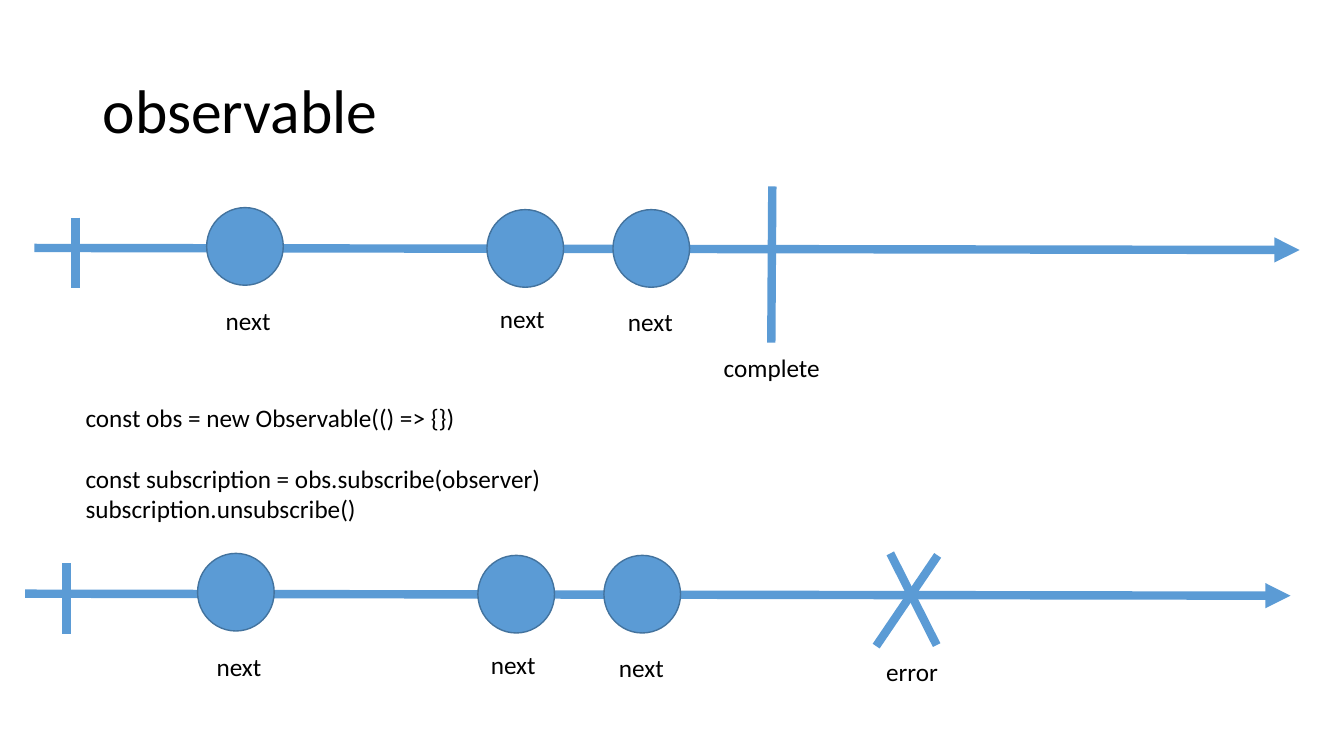
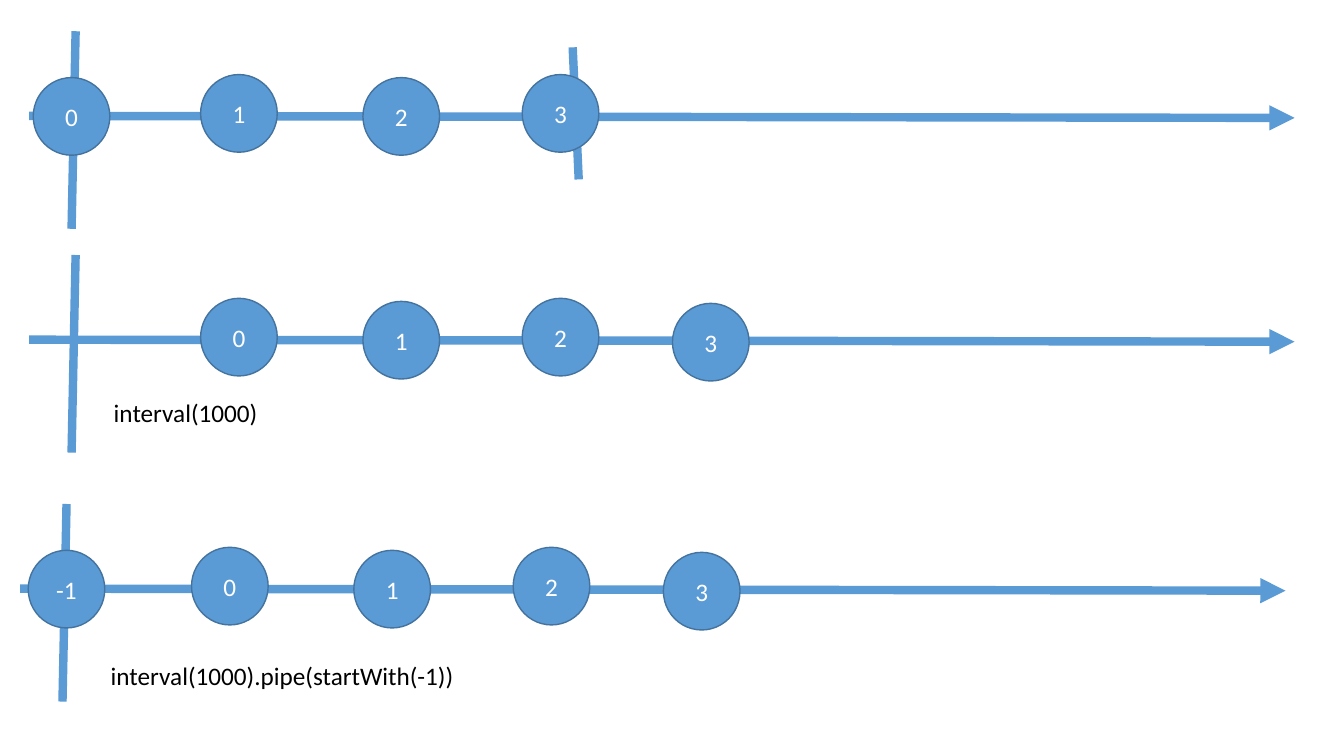
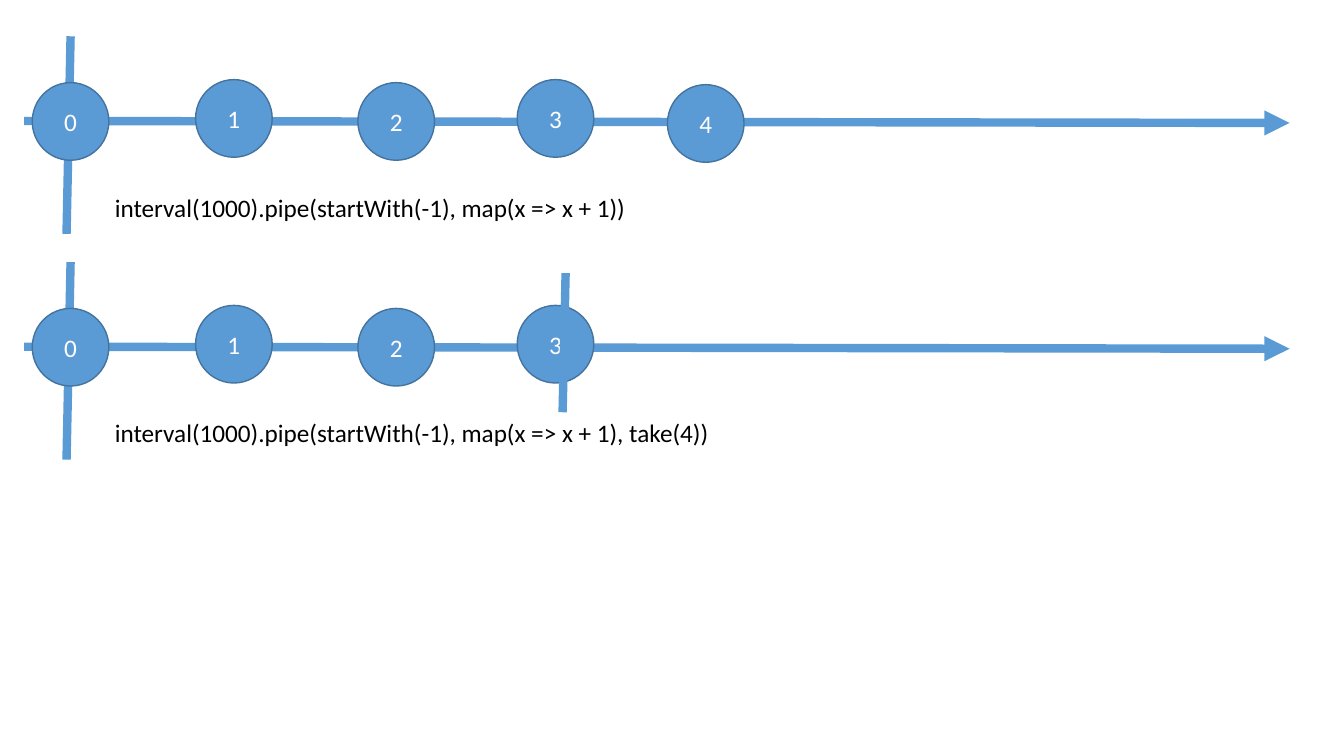
from dataclasses import dataclass

from lxml.etree import SubElement
from pptx import Presentation
from pptx.dml.color import RGBColor
from pptx.enum.shapes import MSO_CONNECTOR, MSO_SHAPE
from pptx.enum.text import MSO_ANCHOR, PP_ALIGN
from pptx.oxml.ns import qn
from pptx.util import Inches, Pt


@dataclass(frozen=True)
class Theme:
    blue: RGBColor = RGBColor(0x5B, 0x9B, 0xD5)
    edge: RGBColor = RGBColor(0x43, 0x73, 0x9E)
    ink: RGBColor = RGBColor(0, 0, 0)
    white: RGBColor = RGBColor(255, 255, 255)
    font: str = "Calibri"
    title: int = 44
    body: int = 18
    stroke: int = 6
    rim: int = 1


THEME = Theme()
WIDE, HIGH = 13.33, 7.5

# Timeline geometry, in inches from the left end of its axis
AXIS = (0, 0, 12.55, 0.02)
BALL = (0.76, 0.77)
ROW = 0.4
TICK = (0.41, -0.3, 0.41, 0.4)
START = (0.46, -0.84, 0.42, 1.12)
NEXTS = [(1.71, -0.4), (4.49, -0.38), (5.74, -0.38)]
NAMES = [(1.8, 0.52), (4.52, 0.5), (5.79, 0.53)]
LEAD = -0.38
SLOTS = [(1.7, -0.41), (3.31, -0.38), (4.89, -0.41), (6.38, -0.36)]

# Slide 1: title, code and the two ways a stream can end
TITLE = "observable"
CODE = [
    "const obs = new Observable(() => {})",
    "const subscription = obs.subscribe(observer)",
    "subscription.unsubscribe()",
]
GAPS = {1: 22}  # points above a line of code
ENDINGS = [
    dict(at=(0.34, 2.46), bars=[(7.32, -0.61, 7.31, 0.94)],
         label=(6.74, 0.99, 1.17, "complete")),
    dict(at=(0.25, 5.89),
         bars=[(8.58, -0.4, 9.04, 0.51), (9.05, -0.38, 8.44, 0.52)],
         label=(8.44, 0.57, 0.72, "error")),
]

# Slides 2 and 3: "lead" is the left of a ball on the start bar
STREAMS = [
    [
        dict(at=(0.29, 1.15), lead=(0.04, "0"), balls="123",
             back=[(5.39, -0.68, 5.45, 0.63)]),
        dict(at=(0.29, 3.37), balls="0123",
             label=(0.74, 0.52, 1.64, "interval(1000)")),
        dict(at=(0.2, 5.84), lead=(0.08, "-1"), balls="0123",
             label=(0.8, 0.66, 3.64, "interval(1000).pipe(startWith(-1))")),
    ],
    [
        dict(at=(0.24, 1.2), lead=(0.08, "0"), balls="1234",
             label=(0.8, 0.66, 5.33,
                    "interval(1000).pipe(startWith(-1), map(x => x + 1))")),
        dict(at=(0.24, 3.44), lead=(0.08, "0"), balls="123",
             label=(0.8, 0.65, 6.16,
                    "interval(1000).pipe(startWith(-1), map(x => x + 1), take(4))"),
             front=[(5.37, -0.73, 5.34, 0.65)]),
    ],
]


def style(para, size, color):
    para.font.name = THEME.font
    para.font.size = Pt(size)
    para.font.color.rgb = color


def write(slide, box, lines, size=THEME.body):
    frame = slide.shapes.add_textbox(*map(Inches, box)).text_frame
    frame.word_wrap = False
    frame.text = "\n".join(lines)
    for para in frame.paragraphs:
        style(para, size, THEME.ink)
    return frame


def draw(slide, at, ends, arrow=False):
    x, y = at
    x1, y1, x2, y2 = ends
    line = slide.shapes.add_connector(
        MSO_CONNECTOR.STRAIGHT,
        *map(Inches, (x + x1, y + y1, x + x2, y + y2)))
    line.line.width = Pt(THEME.stroke)
    line.line.color.rgb = THEME.blue
    props = line._element.spPr
    if arrow:
        SubElement(props.find(qn("a:ln")), qn("a:tailEnd"), type="triangle")
    SubElement(props, qn("a:effectLst"))


def dot(slide, at, spot, text):
    left, top = at[0] + spot[0], at[1] + spot[1]
    ball = slide.shapes.add_shape(
        MSO_SHAPE.OVAL, *map(Inches, (left, top, *BALL)))
    ball.shadow.inherit = False
    ball.fill.solid()
    ball.fill.fore_color.rgb = THEME.blue
    ball.line.color.rgb = THEME.edge
    ball.line.width = Pt(THEME.rim)
    if text:
        frame = ball.text_frame
        frame.text = text
        frame.vertical_anchor = MSO_ANCHOR.MIDDLE
        para = frame.paragraphs[0]
        para.alignment = PP_ALIGN.CENTER
        style(para, THEME.body, THEME.white)


def chart(slide, at, back, balls, labels, front=()):
    """One timeline: axis, bars behind, balls, labels, bars in front."""
    draw(slide, at, AXIS, arrow=True)
    for bar in back:
        draw(slide, at, bar)
    for spot, text in balls:
        dot(slide, at, spot, text)
    for x, y, width, text in labels:
        write(slide, (at[0] + x, at[1] + y, width, ROW), [text])
    for bar in front:
        draw(slide, at, bar)


def intro(slide):
    frame = write(slide, (0.92, 0.4, 11.5, 1.45), [TITLE], THEME.title)
    frame.word_wrap = True
    frame.vertical_anchor = MSO_ANCHOR.MIDDLE
    frame.paragraphs[0].line_spacing = 0.9
    code = write(slide, (0.75, 3.94, 4.77, 1.31), CODE)
    for row, gap in GAPS.items():
        code.paragraphs[row].space_before = Pt(gap)
    for end in ENDINGS:
        names = [(x, y, 0.65, "next") for x, y in NAMES]
        chart(slide, end["at"], [TICK, *end["bars"]],
              [(spot, "") for spot in NEXTS], [*names, end["label"]])


def flow(slide, item):
    balls = list(zip(SLOTS, item["balls"]))
    if "lead" in item:
        x, text = item["lead"]
        balls.append(((x, LEAD), text))
    labels = [item["label"]] if "label" in item else []
    chart(slide, item["at"], [START, *item.get("back", [])],
          balls, labels, item.get("front", []))


def main():
    deck = Presentation()
    deck.slide_width, deck.slide_height = Inches(WIDE), Inches(HIGH)
    blank = deck.slide_layouts[6]
    intro(deck.slides.add_slide(blank))
    for group in STREAMS:
        slide = deck.slides.add_slide(blank)
        for item in group:
            flow(slide, item)
    deck.save("out.pptx")


if __name__ == "__main__":
    main()
